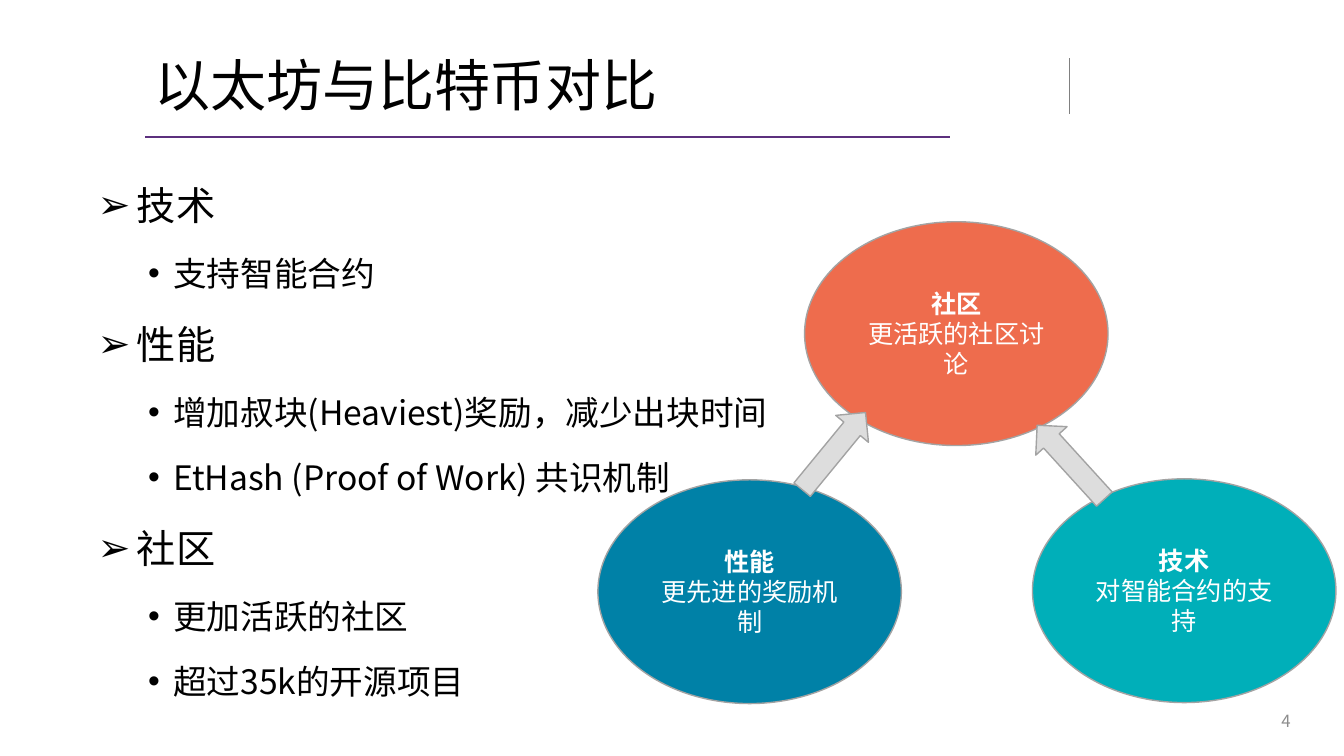
"""Build the slide comparing Ethereum with Bitcoin."""
from dataclasses import dataclass
from lxml.etree import SubElement
from pptx import Presentation
from pptx.dml.color import RGBColor
from pptx.enum.shapes import MSO_CONNECTOR, MSO_SHAPE
from pptx.enum.text import MSO_ANCHOR, PP_ALIGN
from pptx.oxml.ns import qn
from pptx.util import Inches, Pt


@dataclass(frozen=True)
class Theme:
    font: str = "Noto Sans CJK SC"
    bullet_font: str = "Arial"
    text: str = "000000"
    light: str = "FFFFFF"
    muted: str = "8C8C8C"
    outline: str = "A3A3A3"
    arrow: str = "DDDDDD"
    rule: str = "5C307E"
    divider: str = "808080"
    title_size: int = 40
    topic_size: int = 28
    point_size: int = 24
    label_size: int = 18
    number_size: int = 12


THEME = Theme()
TITLE = "以太坊与比特币对比"
PAGE_NUMBER = "4"
TOPICS = [
    ("技术", ["支持智能合约"]),
    ("性能", ["增加叔块(Heaviest)奖励，减少出块时间", "EtHash (Proof of Work) 共识机制"]),
    ("社区", ["更加活跃的社区", "超过35k的开源项目"]),
]
ELLIPSE_SIZE = (3.01, 2.22)
ELLIPSES = [
    ("技术", "对智能合约的支持", "00AFB9", (10.24, 4.75)),
    ("性能", "更先进的奖励机制", "0081A7", (5.93, 4.76)),
    ("社区", "更活跃的社区讨论", "EE6C4D", (7.98, 2.2)),
]
ARROW_SIZE = (0.42, 0.99)
ARROWS = [((8.06, 3.98), 39.4), ((10.41, 4.09), 317.7)]
LINES = [
    ((1.44, 1.36), (9.42, 1.36), THEME.rule, 1.5),
    ((10.61, 0.58), (10.61, 1.13), THEME.divider, 1),
]
BULLETS = {
    0: ("➢", 0.39, 0.39, THEME.topic_size),
    1: ("•", 0.75, 0.25, THEME.point_size),
}


def inches(*values):
    return [Inches(value) for value in values]


def format_runs(para, size, color, bold=False):
    for span in para.runs:
        span.font.name = THEME.font
        span.font.size = Pt(size)
        span.font.bold = bold
        span.font.color.rgb = RGBColor.from_string(color)
        east_asian = SubElement(span.font._element, qn("a:ea"))
        east_asian.set("typeface", THEME.font)


def add_text_box(page, *frame):
    text_frame = page.shapes.add_textbox(*inches(*frame)).text_frame
    text_frame.word_wrap = True
    return text_frame


def add_line(page, start, end, color, width):
    line = page.shapes.add_connector(MSO_CONNECTOR.STRAIGHT, *inches(*start, *end))
    line.line.color.rgb = RGBColor.from_string(color)
    line.line.width = Pt(width)
    SubElement(line._element.spPr, qn("a:effectLst"))


def add_outlined_shape(page, kind, position, size, fill):
    shape = page.shapes.add_shape(kind, *inches(*position, *size))
    shape.shadow.inherit = False
    shape.fill.solid()
    shape.fill.fore_color.rgb = RGBColor.from_string(fill)
    shape.line.color.rgb = RGBColor.from_string(THEME.outline)
    shape.line.width = Pt(1)
    return shape


def add_title(page):
    title = page.shapes.title
    title.left, title.top, title.width, title.height = inches(1.43, 0.4, 8.99, 0.96)
    title.text_frame.text = TITLE
    title.text_frame.vertical_anchor = MSO_ANCHOR.MIDDLE
    para = title.text_frame.paragraphs[0]
    para.alignment = PP_ALIGN.LEFT
    para.line_spacing = 0.9
    format_runs(para, THEME.title_size, THEME.text)


def add_topics(page):
    rows = []
    for topic, points in TOPICS:
        rows.append((0, topic))
        rows.extend((1, point) for point in points)
    text_frame = add_text_box(page, 0.87, 1.56, 7.59, 5.8)
    text_frame.text = "\n".join(text for level, text in rows)
    for index, (para, (level, text)) in enumerate(zip(text_frame.paragraphs, rows)):
        symbol, margin, hanging, size = BULLETS[level]
        para.level = level
        properties = para._p.get_or_add_pPr()
        properties.set("marL", str(Inches(margin)))
        properties.set("indent", str(-Inches(hanging)))
        SubElement(properties, qn("a:buFont")).set("typeface", THEME.bullet_font)
        SubElement(properties, qn("a:buChar")).set("char", symbol)
        para.line_spacing = 1.4
        para.space_before = Pt(6 if index else 0)
        format_runs(para, size, THEME.text)


def add_page_number(page):
    text_frame = add_text_box(page, 9.9, 6.95, 3, 0.4)
    text_frame.text = PAGE_NUMBER
    text_frame.vertical_anchor = MSO_ANCHOR.MIDDLE
    para = text_frame.paragraphs[0]
    para.alignment = PP_ALIGN.RIGHT
    format_runs(para, THEME.number_size, THEME.muted)


def add_diagram(page):
    for heading, detail, fill, position in ELLIPSES:
        ellipse = add_outlined_shape(page, MSO_SHAPE.OVAL, position, ELLIPSE_SIZE, fill)
        text_frame = ellipse.text_frame
        text_frame.word_wrap = True
        text_frame.vertical_anchor = MSO_ANCHOR.MIDDLE
        text_frame.text = f"{heading}\n{detail}"
        for para, bold in zip(text_frame.paragraphs, (True, False)):
            para.alignment = PP_ALIGN.CENTER
            format_runs(para, THEME.label_size, THEME.light, bold)
    for position, angle in ARROWS:
        arrow = add_outlined_shape(page, MSO_SHAPE.UP_ARROW, position, ARROW_SIZE, THEME.arrow)
        arrow.rotation = angle


def main():
    deck = Presentation()
    deck.slide_width, deck.slide_height = inches(13.33, 7.5)
    page = deck.slides.add_slide(deck.slide_layouts[5])
    for line in LINES:
        add_line(page, *line)
    add_title(page)
    add_topics(page)
    add_page_number(page)
    add_diagram(page)
    deck.save("out.pptx")


if __name__ == "__main__":
    main()
